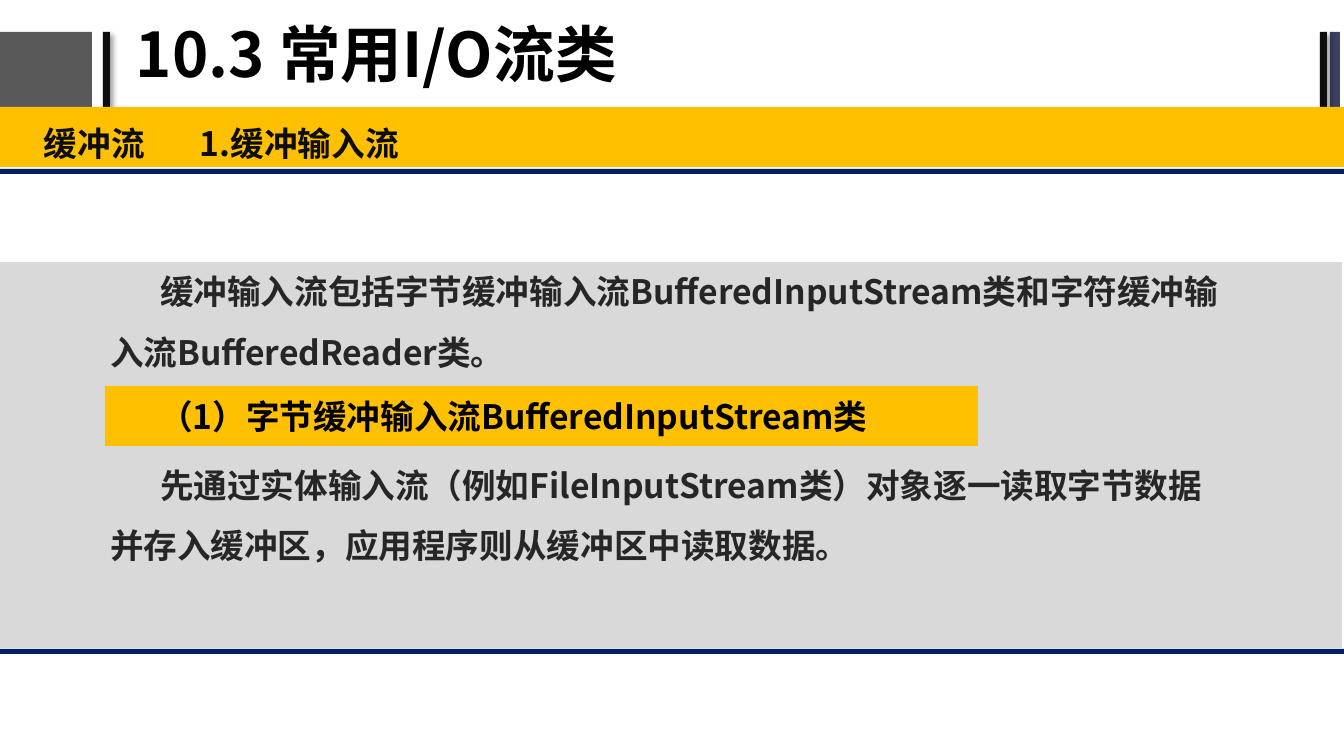
from dataclasses import dataclass

from lxml import etree
from pptx import Presentation
from pptx.dml.color import RGBColor
from pptx.enum.shapes import MSO_SHAPE
from pptx.enum.text import MSO_ANCHOR, MSO_AUTO_SIZE, PP_ALIGN
from pptx.oxml.ns import qn
from pptx.util import Pt

RECT = MSO_SHAPE.RECTANGLE
TOP, MIDDLE = MSO_ANCHOR.TOP, MSO_ANCHOR.MIDDLE
NO_FIT = MSO_AUTO_SIZE.NONE
LEFT = PP_ALIGN.LEFT
EMU_PER_PX = 914400 / 100.8
W, H = 1344, 756


@dataclass(frozen=True)
class Theme:
    font: str = "Noto Sans CJK SC"
    title_size: int = 44
    text_size: int = 24
    black: str = "000000"
    ink: str = "0D0D0D"
    body: str = "262626"
    block: str = "595959"
    slate: str = "3B3F60"
    navy: str = "002060"
    gold: str = "FFC000"
    panel: str = "D9D9D9"


T = Theme()


def px(n):
    return round(n * EMU_PER_PX)


def add_rect(s, x, y, w, h, fill, shadow=False):
    sp = s.shapes.add_shape(RECT, px(x), px(y), px(w), px(h))
    sp.shadow.inherit = False
    sp.fill.solid()
    sp.fill.fore_color.rgb = RGBColor.from_string(fill)
    sp.line.fill.background()
    if shadow:
        effects = sp._element.spPr.find(qn("a:effectLst"))
        outer = etree.SubElement(effects, qn("a:outerShdw"), blurRad=str(Pt(4)),
                                 dist=str(Pt(3)), dir="2700000", algn="tl")
        color = etree.SubElement(outer, qn("a:srgbClr"), val=T.black)
        etree.SubElement(color, qn("a:alpha"), val="40000")
    return sp


def write(sp, *texts, size=T.text_size, color=T.black, spacing=1.0, gap=0,
          indent=0, tab=0, inset=(13, 7), anchor=TOP):
    """Fill a shape with one paragraph per text."""
    tf = sp.text_frame
    tf.word_wrap = True
    tf.auto_size = NO_FIT
    tf.vertical_anchor = anchor
    tf.margin_left = tf.margin_right = px(inset[0])
    tf.margin_top = tf.margin_bottom = px(inset[1])
    for i, text in enumerate(texts):
        p = tf.add_paragraph() if i else tf.paragraphs[0]
        p.alignment = LEFT
        p.line_spacing = spacing
        p.space_before = Pt(gap if i else 0)
        pPr = p._p.get_or_add_pPr()
        if indent:
            pPr.set("indent", str(px(indent)))
        if tab:
            tabs = etree.SubElement(pPr, qn("a:tabLst"))
            etree.SubElement(tabs, qn("a:tab"), pos=str(px(tab)), algn="l")
        r = p.add_run()
        r.text = text
        r.font.size = Pt(size)
        r.font.bold = True
        r.font.color.rgb = RGBColor.from_string(color)
        r.font.name = T.font
        etree.SubElement(r._r.get_or_add_rPr(), qn("a:ea"), typeface=T.font)


def add_text(s, x, y, w, h, *texts, **fmt):
    sp = s.shapes.add_textbox(px(x), px(y), px(w), px(h))
    write(sp, *texts, **fmt)


def add_header(s, x, y, w, h):
    # Blocks and bars at both ends
    add_rect(s, x, y, 92, h, T.block)
    add_rect(s, x + 103, y, 7, h, T.ink, shadow=True)
    add_rect(s, x + w - 14, y, 10, h, T.slate)
    add_rect(s, x + w - 24, y, 7, h, T.ink, shadow=True)
    # Title
    title = s.shapes.title
    title.left, title.top = px(x + 126), px(y - 30)
    title.width, title.height = px(854), px(111)
    write(title, "10.3 常用I/O流类", size=T.title_size, spacing=0.9,
          inset=(10, 5), anchor=MIDDLE)


def add_subtitle(s, x, y, w, h):
    add_rect(s, x, y, w, h, T.gold)
    add_text(s, x + 31, y + 1, w - 31, h - 1, "缓冲流\t1.缓冲输入流",
             color=T.ink, spacing=1.2, tab=156)
    add_rect(s, x, y + h + 2, w, 5, T.navy)


def add_body(s, x, y, w, h):
    add_rect(s, x, y, w - 2, h, T.panel)
    add_rect(s, x, y + h + 1, w, 5, T.navy)
    # Paragraphs, parted to leave room for the highlighted heading
    add_text(s, x + 97, y - 18, 1151, 330,
             "缓冲输入流包括字节缓冲输入流BufferedInputStream类和字符缓冲输入流BufferedReader类。",
             "先通过实体输入流（例如FileInputStream类）对象逐一读取字节数据并存入缓冲区，应用程序则从缓冲区中读取数据。",
             color=T.body, spacing=1.5, gap=52, indent=50)
    # Highlighted heading
    add_rect(s, x + 105, y + 124, 873, 60, T.gold)
    add_text(s, x + 146, y + 127, 772, 58,
             "（1）字节缓冲输入流BufferedInputStream类")


def main():
    prs = Presentation()
    prs.slide_width, prs.slide_height = px(W), px(H)
    s = prs.slides.add_slide(prs.slide_layouts[5])
    add_header(s, 0, 32, W, 76)
    add_subtitle(s, 0, 107, W, 60)
    add_body(s, 0, 262, W, 386)
    prs.save("out.pptx")


if __name__ == "__main__":
    main()
